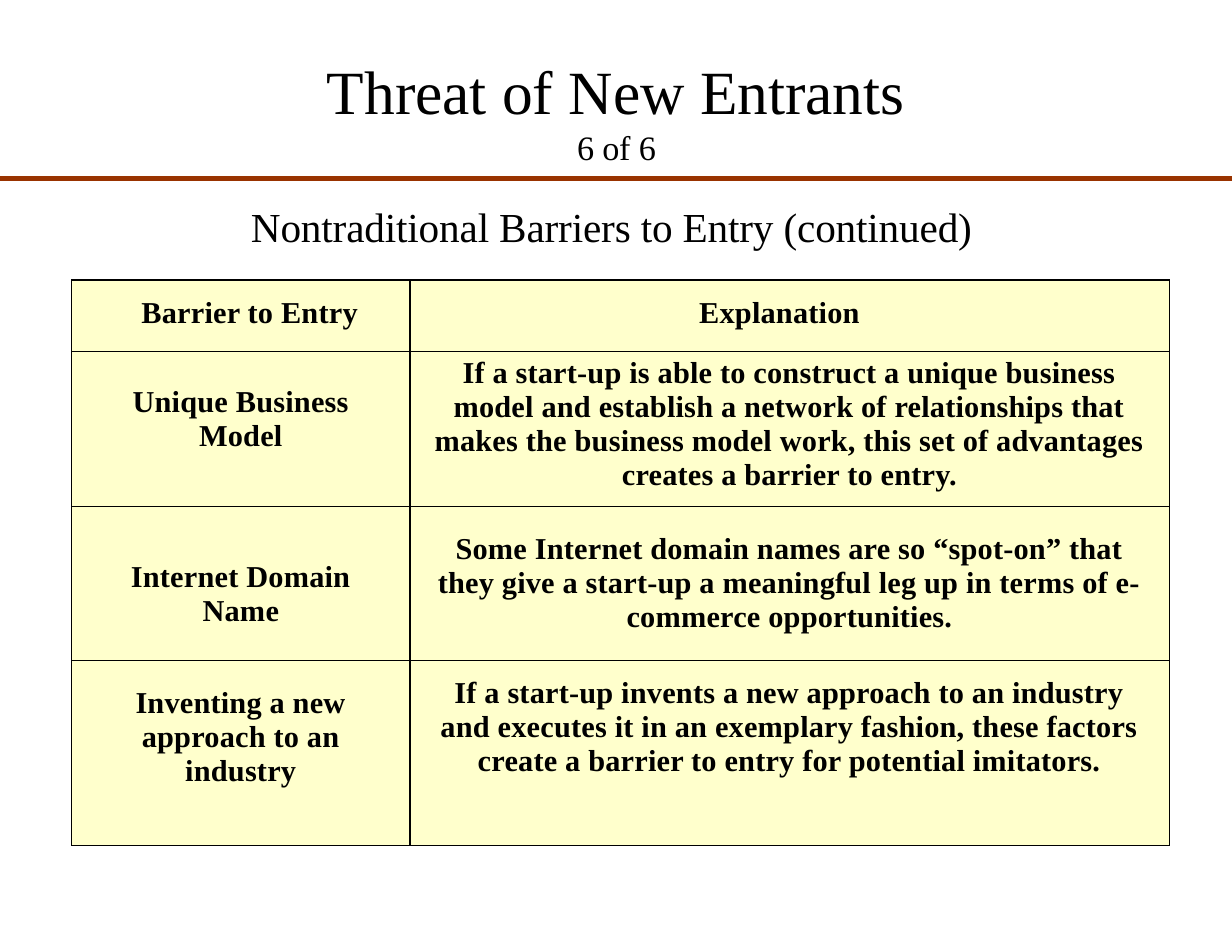
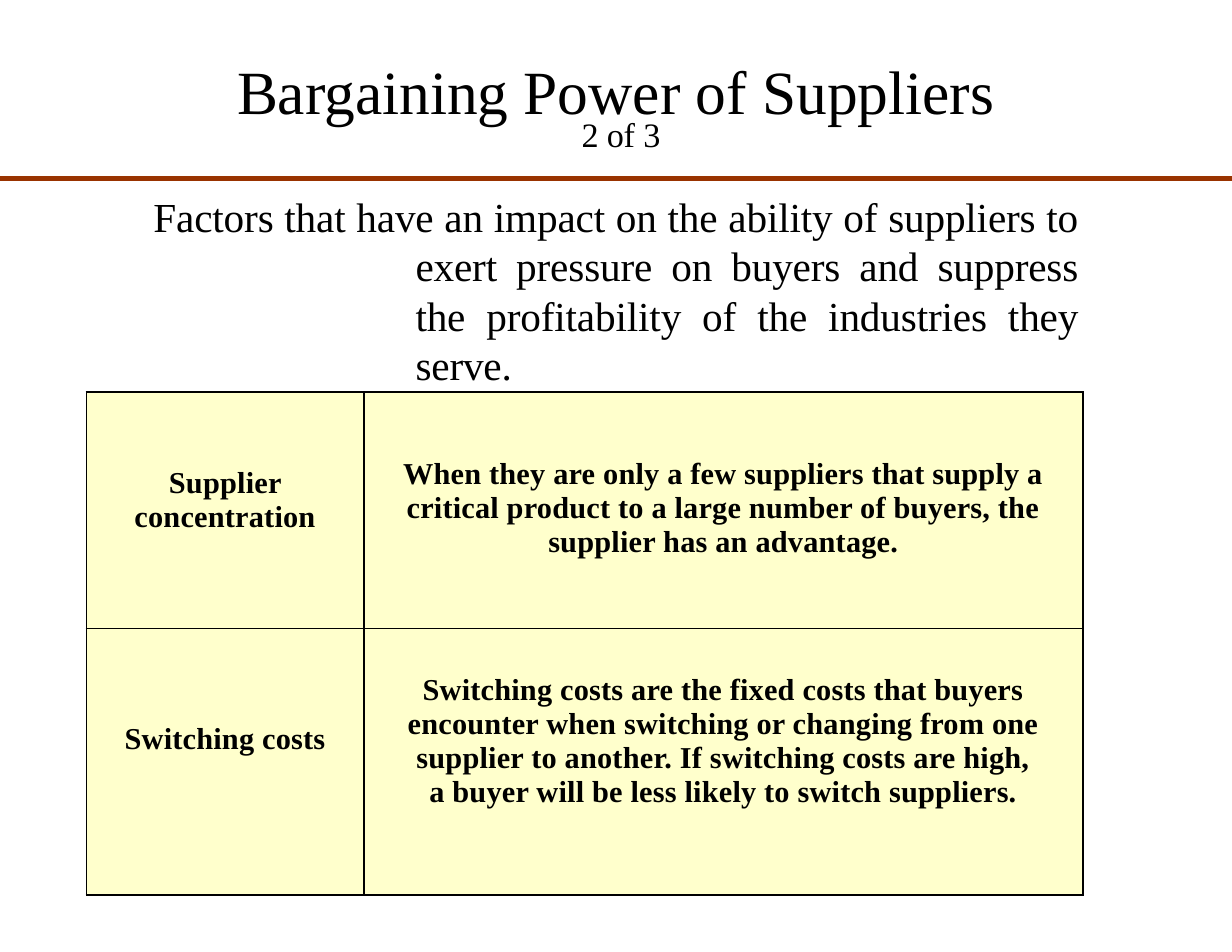
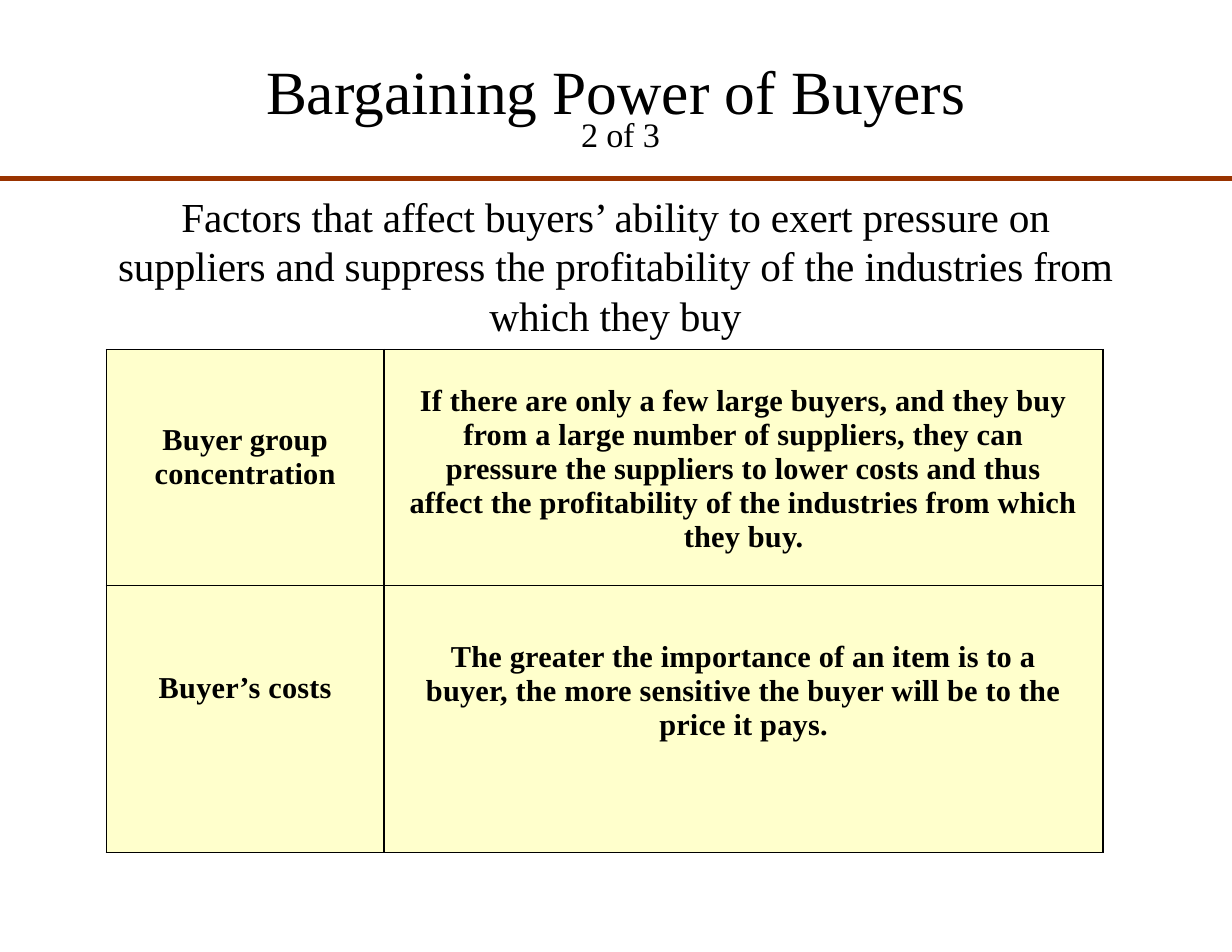
from lxml import etree
from pptx import Presentation
from pptx import util as u
from pptx.dml.color import RGBColor
from pptx.enum import shapes, text
from pptx.oxml.ns import qn

# The slide is a grid of 110 columns by 85 rows; every length counts its cells.
COLS, ROWS = 110, 85
UNIT = u.Inches(0.1)

FONT = "Times New Roman"
INK = RGBColor(0x00, 0x00, 0x00)
RULE = RGBColor(0x99, 0x33, 0x00)
PAPER = RGBColor(0xFF, 0xFF, 0xCC)
TITLE_SIZE, PAGE_SIZE, SUBTITLE_SIZE, CELL_SIZE = 39.5, 22, 26.5, 19.5

TITLE_TOP, TITLE_HEIGHT, RULE_TOP = 4.5, 6.9, 15.9
CENTER, JUSTIFY = text.PP_ALIGN.CENTER, text.PP_ALIGN.JUSTIFY


def grid(*cells):
    return [u.Emu(round(n * UNIT)) for n in cells]


def format_runs(p, size, bold=False, tracking=0):
    """Tracking is in hundredths of a point."""
    for r in p.runs:
        r.font.name = FONT
        r.font.size = u.Pt(size)
        r.font.bold = bold
        r.font.color.rgb = INK
        r._r.get_or_add_rPr().set("spc", str(tracking))


def set_frame(tf, top):
    tf.word_wrap = True
    tf.auto_size = text.MSO_AUTO_SIZE.NONE
    tf.vertical_anchor = text.MSO_ANCHOR.TOP
    tf.margin_left = tf.margin_right = tf.margin_bottom = 0
    tf.margin_top = grid(top)[0]


def add_header(s, title, width):
    """Centred title above a rule that spans the slide."""
    sp = s.shapes.title
    sp.left, sp.top, sp.width, sp.height = grid(
        (COLS - width) / 2, TITLE_TOP, width, TITLE_HEIGHT)
    tf = sp.text_frame
    set_frame(tf, 0.2)
    tf.text = title
    p = tf.paragraphs[0]
    p.alignment = CENTER
    p.line_spacing = 1.0
    format_runs(p, TITLE_SIZE)

    rule = s.shapes.add_connector(
        shapes.MSO_CONNECTOR.STRAIGHT, *grid(0, RULE_TOP, COLS, RULE_TOP))
    rule.line.color.rgb = RULE
    rule.line.width = u.Pt(3.25)
    etree.SubElement(rule._element.spPr, qn("a:effectLst"))


def add_intro(s, box, page, subtitle, gap=24, align=CENTER, hang=0):
    """Page count and subtitle; a hang indents all lines but the first."""
    tf = s.shapes.add_textbox(*grid(*box)).text_frame
    set_frame(tf, 0.1)
    p = tf.paragraphs[0]
    p.text = page
    p.alignment = CENTER
    p._p.get_or_add_pPr().set("marL", str(grid(0.9)[0]))
    format_runs(p, PAGE_SIZE, tracking=-10)

    p = tf.add_paragraph()
    p.text = subtitle
    p.alignment = align
    p.line_spacing = u.Pt(31.7)
    p.space_before = u.Pt(gap)
    if hang:
        pPr = p._p.get_or_add_pPr()
        pPr.set("marL", str(grid(hang)[0]))
        pPr.set("indent", str(-grid(hang)[0]))
    format_runs(p, SUBTITLE_SIZE, tracking=-10)


def add_borders(cell):
    tcPr = cell._tc.get_or_add_tcPr()
    for side in ("a:lnL", "a:lnR", "a:lnT", "a:lnB"):
        ln = etree.SubElement(tcPr, qn(side), w=str(u.Pt(1)))
        fill = etree.SubElement(ln, qn("a:solidFill"))
        etree.SubElement(fill, qn("a:srgbClr"), val=str(INK))


def fill_cell(cell, words, top, left, right=None):
    """Margins are in grid cells; the right one follows the left if not given."""
    add_borders(cell)
    cell.fill.solid()
    cell.fill.fore_color.rgb = PAPER
    cell.vertical_anchor = text.MSO_ANCHOR.TOP
    cell.margin_top, cell.margin_left, cell.margin_right = grid(
        top, left, left if right is None else right)
    cell.margin_bottom = 0
    cell.text_frame.text = words
    p = cell.text_frame.paragraphs[0]
    p.alignment = CENTER
    p.line_spacing = 1.01
    format_runs(p, CELL_SIZE, bold=True, tracking=10)


def add_factor_table(s, left, top, widths, heights, rows):
    frame = s.shapes.add_table(
        len(heights), len(widths), *grid(left, top, sum(widths), sum(heights)))
    tbl = frame.table
    tbl.first_row = tbl.horz_banding = False
    for col, width in zip(tbl.columns, grid(*widths)):
        col.width = width
    for row, height, entries in zip(tbl.rows, grid(*heights), rows):
        row.height = height
        for cell, entry in zip(row.cells, entries):
            fill_cell(cell, *entry)


BARRIERS = [
    [("Barrier to Entry", 1.4, 5.6, 4), ("Explanation", 1.4, 2, 3.8)],
    [("Unique Business Model", 3, 4),
     ("If a start-up is able to construct a unique business model and establish "
      "a network of relationships that makes the business model work, this set "
      "of advantages creates a barrier to entry.", 0.4, 2)],
    [("Internet Domain Name", 4.8, 4),
     ("Some Internet domain names are so “spot-on” that they give a start-up a "
      "meaningful leg up in terms of e-commerce opportunities.", 2.3, 2)],
    [("Inventing a new approach to an industry", 2.3, 4),
     ("If a start-up invents a new approach to an industry and executes it in "
      "an exemplary fashion, these factors create a barrier to entry for "
      "potential imitators.", 1.4, 2)],
]
SUPPLIER_FACTORS = [
    [("Supplier concentration", 6.6, 1),
     ("When they are only a few suppliers that supply a critical product to a "
      "large number of buyers, the supplier has an advantage.", 5.8, 3)],
    [("Switching costs", 8.4, 1),
     ("Switching costs are the fixed costs that buyers encounter when switching "
      "or changing from one supplier to another. If switching costs are high,\v"
      "a buyer will be less likely to switch suppliers.", 4, 3)],
]
BUYER_FACTORS = [
    [("Buyer group concentration", 6.6, 1),
     ("If there are only a few large buyers, and they buy from a large number "
      "of suppliers, they can pressure the suppliers to lower costs and thus "
      "affect the profitability of the industries from which they buy.", 3.1, 2.2)],
    [("Buyer’s costs", 7.6, 1),
     ("The greater the importance of an item is to a buyer, the more sensitive "
      "the buyer will be to the price it pays.", 4.9, 3)],
]
POWER_WIDTHS, POWER_HEIGHTS = (24.8, 64.2), (21.1, 23.8)


def main():
    prs = Presentation()
    prs.slide_width, prs.slide_height = grid(COLS, ROWS)
    title_only = prs.slide_layouts[5]

    s = prs.slides.add_slide(title_only)
    add_header(s, "Threat of New Entrants", 52.1)
    add_intro(s, (22.1, 11.2, 65, 11.5), "6 of 6",
              "Nontraditional Barriers to Entry (continued)", gap=21.5)
    add_factor_table(s, 6.4, 25, (30.2, 67.8), (6.4, 13.8, 13.8, 16.5), BARRIERS)

    s = prs.slides.add_slide(title_only)
    add_header(s, "Bargaining Power of Suppliers", 68.3)
    add_intro(s, (13.7, 10, 82.6, 25), "2 of 3",
              "Factors that have an impact on the ability of suppliers to exert "
              "pressure on buyers and suppress the profitability of the "
              "industries they serve.", align=JUSTIFY, hang=23.4)
    add_factor_table(s, 7.7, 35, POWER_WIDTHS, POWER_HEIGHTS, SUPPLIER_FACTORS)

    s = prs.slides.add_slide(title_only)
    add_header(s, "Bargaining Power of Buyers", 63.1)
    add_intro(s, (9.5, 10, 90.9, 20.5), "2 of 3",
              "Factors that affect buyers’ ability to exert pressure on suppliers "
              "and suppress the profitability of the industries from which they buy")
    add_factor_table(s, 9.5, 31.2, POWER_WIDTHS, POWER_HEIGHTS, BUYER_FACTORS)

    prs.save("out.pptx")


if __name__ == "__main__":
    main()
